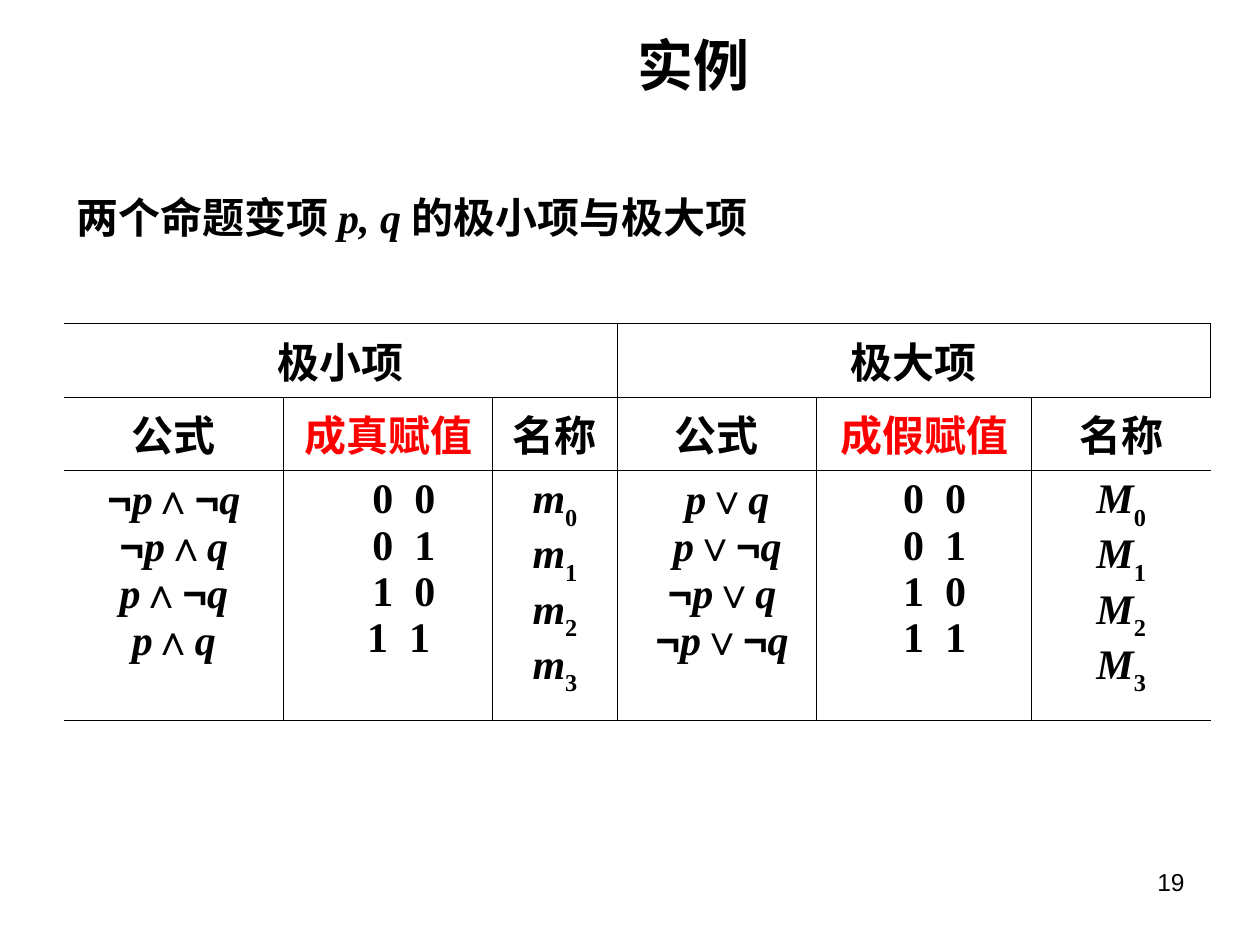
import itertools

import pptx
import pptx.dml.color
import pptx.enum.text
import pptx.util
from lxml import etree
from pptx.oxml.ns import qn

ALIGN = pptx.enum.text.PP_ALIGN
ANCHOR = pptx.enum.text.MSO_ANCHOR
SANS, SERIF, CJK = "Arial", "Times New Roman", "Noto Sans CJK SC"
BLACK, RED = "000000", "FF0000"
# The slide is a grid of 100 columns by 75 rows
COLS, ROWS = 100, 75
UNIT = pptx.util.Inches(10) // COLS


def grid(n):
    return round(n * UNIT)


def rgb(color):
    return pptx.dml.color.RGBColor.from_string(color)


def add_run(p, text, size=24, font=SANS, color=BLACK, bold=True,
            italic=False, sub=False, spacing=0):
    r = p.add_run()
    r.text = text
    r.font.size = pptx.util.Pt(size)
    r.font.name = font
    r.font.bold, r.font.italic = bold, italic
    r.font.color.rgb = rgb(color)
    rPr = r.font._element
    etree.SubElement(rPr, qn("a:ea")).set("typeface", CJK)
    if sub:
        rPr.set("baseline", "-30000")
    if spacing:
        rPr.set("spc", str(spacing * 100))
    return r


def add_formula(p, text):
    """Operators in sans, variables in italic serif."""
    for is_var, chars in itertools.groupby(text, str.isalpha):
        add_run(p, "".join(chars), font=SERIF if is_var else SANS, italic=is_var)


def add_bits(p, text):
    """Two truth values with a wide space between them."""
    add_run(p, text[0], font=SERIF)
    add_run(p, " ", font=SERIF, spacing=6)
    add_run(p, text[1], font=SERIF)


def add_name(p, text):
    """A letter with its index as subscript."""
    add_run(p, text[0], font=SERIF, italic=True)
    add_run(p, text[1], font=SERIF, sub=True)


def add_box(slide, box, align, anchor=ANCHOR.TOP):
    tf = slide.shapes.add_textbox(*map(grid, box)).text_frame
    tf.word_wrap = True
    tf.vertical_anchor = anchor
    p = tf.paragraphs[0]
    p.alignment = align
    return p


def add_title(slide, box):
    add_run(add_box(slide, box, ALIGN.CENTER, ANCHOR.MIDDLE), "实例", size=32)


def add_lead(slide, box):
    p = add_box(slide, box, ALIGN.JUSTIFY)
    add_run(p, "两个命题变项 ")
    add_run(p, "p, q ", font=SERIF, italic=True)
    add_run(p, "的极小项与极大项")


def add_page_number(slide, box):
    add_run(add_box(slide, box, ALIGN.RIGHT), "19", size=14, bold=False)


def set_borders(cell, sides):
    tcPr = cell._tc.get_or_add_tcPr()
    for side in ("L", "R", "T", "B"):
        ln = etree.SubElement(tcPr, qn("a:ln" + side), w="5715")
        if side in sides:
            fill = etree.SubElement(ln, qn("a:solidFill"))
            etree.SubElement(fill, qn("a:srgbClr"), val=BLACK)
        else:
            etree.SubElement(ln, qn("a:noFill"))


def fill_cell(cell, lines, writer, shifts=(0, 0, 0, 0), **fmt):
    """Write one centred paragraph per line, each indented by its shift."""
    tf = cell.text_frame
    for i, (line, shift) in enumerate(zip(lines, shifts)):
        p = tf.paragraphs[0] if i == 0 else tf.add_paragraph()
        p.alignment = ALIGN.CENTER
        if shift:
            p._p.get_or_add_pPr().set("marL", str(pptx.util.Pt(shift)))
        writer(p, line, **fmt)


def add_terms_table(slide, box, widths, heights):
    table = slide.shapes.add_table(len(heights), len(widths),
                                   *map(grid, box)).table
    table.first_row = table.horz_banding = False
    for col, w in zip(table.columns, widths):
        col.width = grid(w)
    for row, h in zip(table.rows, heights):
        row.height = grid(h)

    # Rules between columns and above and below rows, open outer sides
    last = len(widths) - 1
    for r, c in itertools.product(range(len(heights)), range(len(widths))):
        cell = table.cell(r, c)
        set_borders(cell, "TB" + "L" * (c > 0) + "R" * (c < last))
        cell.fill.background()

    # Two halves: minterms and maxterms
    bits = ["00", "01", "10", "11"]
    halves = [
        ("极小项", "成真赋值", "m", ["¬p∧¬q", "¬p∧q", "p∧¬q", "p∧q"],
         (0, 0, 0, 0), (18, 18, 18, 12)),
        ("极大项", "成假赋值", "M", ["p∨q", "p∨¬q", "¬p∨q", "¬p∨¬q"],
         (12, 12, 6, 6), (12, 12, 12, 12)),
    ]
    for half, (head, values, letter, formulas, f_shift, b_shift) in enumerate(halves):
        c = half * 3
        table.cell(0, c).merge(table.cell(0, c + 2))
        set_head = functools_head(table)
        set_head(0, c, head)
        set_head(1, c, "公式")
        set_head(1, c + 1, values, RED)
        set_head(1, c + 2, "名称")
        fill_cell(table.cell(2, c), formulas, add_formula, f_shift)
        fill_cell(table.cell(2, c + 1), bits, add_bits, b_shift)
        fill_cell(table.cell(2, c + 2), [f"{letter}{i}" for i in range(4)], add_name)


def functools_head(table):
    def set_head(row, col, text, color=BLACK):
        fill_cell(table.cell(row, col), [text], add_run, font=CJK, color=color)
    return set_head


def main():
    prs = pptx.Presentation()
    prs.slide_width, prs.slide_height = grid(COLS), grid(ROWS)
    slide = prs.slides.add_slide(prs.slide_layouts[6])
    add_page_number(slide, (71.7, 68.3, 23.3, 5.2))
    add_title(slide, (21.6, 2.8, 66.9, 4.6))
    add_lead(slide, (5.1, 14.7, 90, 5.8))
    add_terms_table(slide, (5.1, 25.7, 91, 31.5),
                    widths=(17.4, 16.6, 9.9, 15.8, 17.1, 14.2),
                    heights=(5.8, 5.8, 19.9))
    prs.save("out.pptx")


if __name__ == "__main__":
    main()
